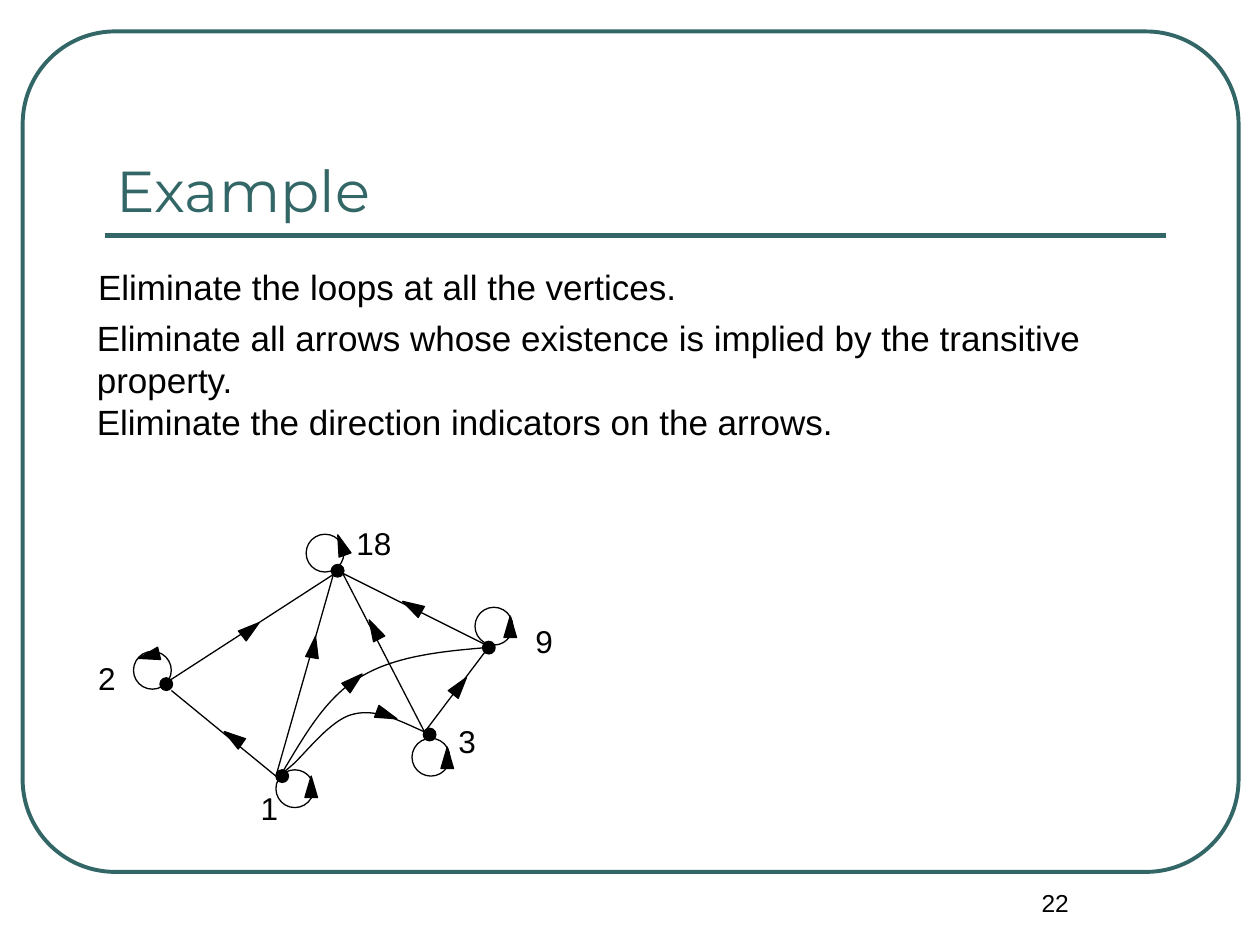
from dataclasses import dataclass
from itertools import pairwise

from lxml import etree
from pptx import Presentation
from pptx.dml.color import RGBColor
from pptx.enum.shapes import MSO_CONNECTOR, MSO_SHAPE
from pptx.enum.text import MSO_ANCHOR, PP_ALIGN
from pptx.oxml.ns import qn
from pptx.util import Inches, Pt

STRAIGHT = MSO_CONNECTOR.STRAIGHT
ELLIPSE, TRIANGLE = MSO_SHAPE.OVAL, MSO_SHAPE.ISOSCELES_TRIANGLE
ROUNDED = MSO_SHAPE.ROUNDED_RECTANGLE
LEFT, CENTER = PP_ALIGN.LEFT, PP_ALIGN.CENTER
TOP, BOTTOM = MSO_ANCHOR.TOP, MSO_ANCHOR.BOTTOM

COLORS = {"ink": "000000", "teal": "336666"}
DOT, LOOP = 0.1, 0.3
ARROW_WIDTH, ARROW_HEIGHT = 0.1, 0.17
THIN = 0.75
CURVE_STEPS = 24

Point = tuple[float, float]


@dataclass(frozen=True)
class Vertex:
    """A numbered vertex with the corners of its dot, label, loop and loop arrow."""

    name: str
    dot: Point
    label: Point
    label_width: float
    loop: Point
    arrow: Point
    turn: float = 0


@dataclass(frozen=True)
class Edge:
    """A directed edge: end points or Bezier points, and its arrow marker."""

    points: tuple[Point, ...]
    arrow: Point
    turn: float


@dataclass(frozen=True)
class Label:
    """A line of text with its box and type."""

    text: str
    left: float
    top: float
    width: float
    height: float
    size: float
    font: str = "Arial"
    color: str = "ink"
    align: PP_ALIGN = LEFT
    anchor: MSO_ANCHOR = TOP


VERTICES = [
    Vertex("2", (1.27, 5.38), (0.68, 5.18), 0.44, (1.06, 5.17), (1.13, 5.12), 256.4),
    Vertex("18", (2.63, 4.48), (2.73, 4.11), 0.59, (2.43, 4.24), (2.66, 4.24), 340.1),
    Vertex("9", (3.83, 5.09), (4.15, 4.89), 0.44, (3.77, 4.82), (4, 4.89)),
    Vertex("1", (2.19, 6.11), (1.97, 6.21), 0.44, (2.19, 6.11), (2.42, 6.16)),
    Vertex("3", (3.36, 5.78), (3.54, 5.68), 0.44, (3.27, 5.86), (3.5, 5.93)),
]

EDGES = [
    Edge(((2.19, 6.16), (1.36, 5.48)), (1.8, 5.77), 304.9),
    Edge(((1.27, 5.45), (2.66, 4.55)), (1.94, 4.91), 51.8),
    Edge(((3.86, 5.12), (2.72, 4.55)), (3.22, 4.73), 299.6),
    Edge(((3.37, 5.81), (3.86, 5.16)), (3.6, 5.36), 38.1),
    Edge(((2.19, 6.16), (2.66, 4.51)), (2.44, 5.05), 9.5),
    Edge(((3.37, 5.81), (2.72, 4.55)), (2.92, 4.91), 332.4),
    Edge(((2.25, 6.12), (2.23, 6.14), (2.22, 6.16), (2.31, 6.08), (2.4, 6.01),
          (2.62, 5.71), (2.8, 5.67), (2.98, 5.62), (3.17, 5.72), (3.37, 5.81)),
         (3.02, 5.59), 110.4),
    Edge(((2.23, 6.15), (2.41, 5.85), (2.58, 5.54), (2.85, 5.38),
          (3.12, 5.21), (3.49, 5.17), (3.86, 5.14)), (2.76, 5.32), 48.9),
]

TEXTS = [
    Label("22", 7.5, 7, 1.75, 0.5, 14, align=CENTER),
    Label("Example", 0.83, 0.58, 8.42, 1.25, 33, "Montserrat", "teal", anchor=BOTTOM),
    Label("Eliminate the loops at all the vertices.", 0.68, 2.06, 8.57, 0.44, 20),
    Label("Eliminate all arrows whose existence is implied by the transitive property.",
          0.67, 2.46, 8.57, 0.77, 20),
    Label("Eliminate the direction indicators on the arrows.", 0.67, 3.13, 8.57, 0.44, 20),
]


def rgb(name: str) -> RGBColor:
    """Look up a named colour."""
    return RGBColor.from_string(COLORS[name])


def add_outline(slide, kind: MSO_SHAPE, corner: Point, width: float, height: float,
                color: str = "ink", weight: float = THIN, filled: bool = False):
    """Draw a preset shape, hollow unless filled."""
    shape = slide.shapes.add_shape(kind, *map(Inches, (*corner, width, height)))
    shape.shadow.inherit = False
    if filled:
        shape.fill.solid()
        shape.fill.fore_color.rgb = rgb(color)
    else:
        shape.fill.background()
    shape.line.color.rgb = rgb(color)
    shape.line.width = Pt(weight)
    return shape


def add_line(slide, start: Point, end: Point, color: str = "ink", weight: float = THIN) -> None:
    """Draw a straight line without a shadow."""
    line = slide.shapes.add_connector(STRAIGHT, *map(Inches, (*start, *end)))
    line.line.color.rgb = rgb(color)
    line.line.width = Pt(weight)
    etree.SubElement(line._element.spPr, qn("a:effectLst"))


def bezier(points: tuple[Point, ...], t: float) -> Point:
    """Find the point at t on a Bezier segment by repeated interpolation."""
    while len(points) > 1:
        points = tuple((a[0] + (b[0] - a[0]) * t, a[1] + (b[1] - a[1]) * t)
                       for a, b in pairwise(points))
    return points[0]


def add_curve(slide, points: tuple[Point, ...]) -> None:
    """Draw a chain of cubic Bezier segments as an open outline."""
    trail = [bezier(points[first:first + 4], step / CURVE_STEPS)
             for first in range(0, len(points) - 1, 3)
             for step in range(1, CURVE_STEPS + 1)]
    builder = slide.shapes.build_freeform(*map(Inches, points[0]))
    builder.add_line_segments([(Inches(x), Inches(y)) for x, y in trail], close=False)
    curve = builder.convert_to_shape()
    curve.shadow.inherit = False
    curve.fill.background()
    curve.line.color.rgb = rgb("ink")
    curve.line.width = Pt(THIN)


def add_arrow(slide, corner: Point, turn: float) -> None:
    """Draw a direction marker."""
    arrow = add_outline(slide, TRIANGLE, corner, ARROW_WIDTH, ARROW_HEIGHT, filled=True)
    arrow.rotation = turn


def add_label(slide, label: Label) -> None:
    """Write one wrapped text box."""
    box = slide.shapes.add_textbox(
        *map(Inches, (label.left, label.top, label.width, label.height)))
    frame = box.text_frame
    frame.word_wrap = True
    frame.vertical_anchor = label.anchor
    paragraph = frame.paragraphs[0]
    paragraph.alignment = label.align
    run = paragraph.add_run()
    run.text = label.text
    run.font.size = Pt(label.size)
    run.font.name = label.font
    run.font.color.rgb = rgb(label.color)


def add_vertex(slide, vertex: Vertex) -> None:
    """Draw a vertex with its loop and number."""
    add_outline(slide, ELLIPSE, vertex.dot, DOT, DOT, filled=True)
    add_label(slide, Label(vertex.name, *vertex.label, vertex.label_width, 0.4, 18))
    add_outline(slide, ELLIPSE, vertex.loop, LOOP, LOOP)
    add_arrow(slide, vertex.arrow, vertex.turn)


def add_edge(slide, edge: Edge) -> None:
    """Draw a straight or curved edge with its direction marker."""
    if len(edge.points) == 2:
        add_line(slide, *edge.points)
    else:
        add_curve(slide, edge.points)
    add_arrow(slide, edge.arrow, edge.turn)


def main() -> None:
    """Build the slide and save it."""
    deck = Presentation()
    deck.slide_width, deck.slide_height = Inches(10), Inches(7.5)
    slide = deck.slides.add_slide(deck.slide_layouts[6])
    border = add_outline(slide, ROUNDED, (0.18, 0.25), 9.65, 6.67, "teal", 2.25)
    border.adjustments[0] = 0.11
    add_line(slide, (0.83, 1.87), (9.25, 1.87), "teal", 3)
    for text in TEXTS:
        add_label(slide, text)
    for vertex in VERTICES:
        add_vertex(slide, vertex)
    for edge in EDGES:
        add_edge(slide, edge)
    deck.save("out.pptx")


if __name__ == "__main__":
    main()
